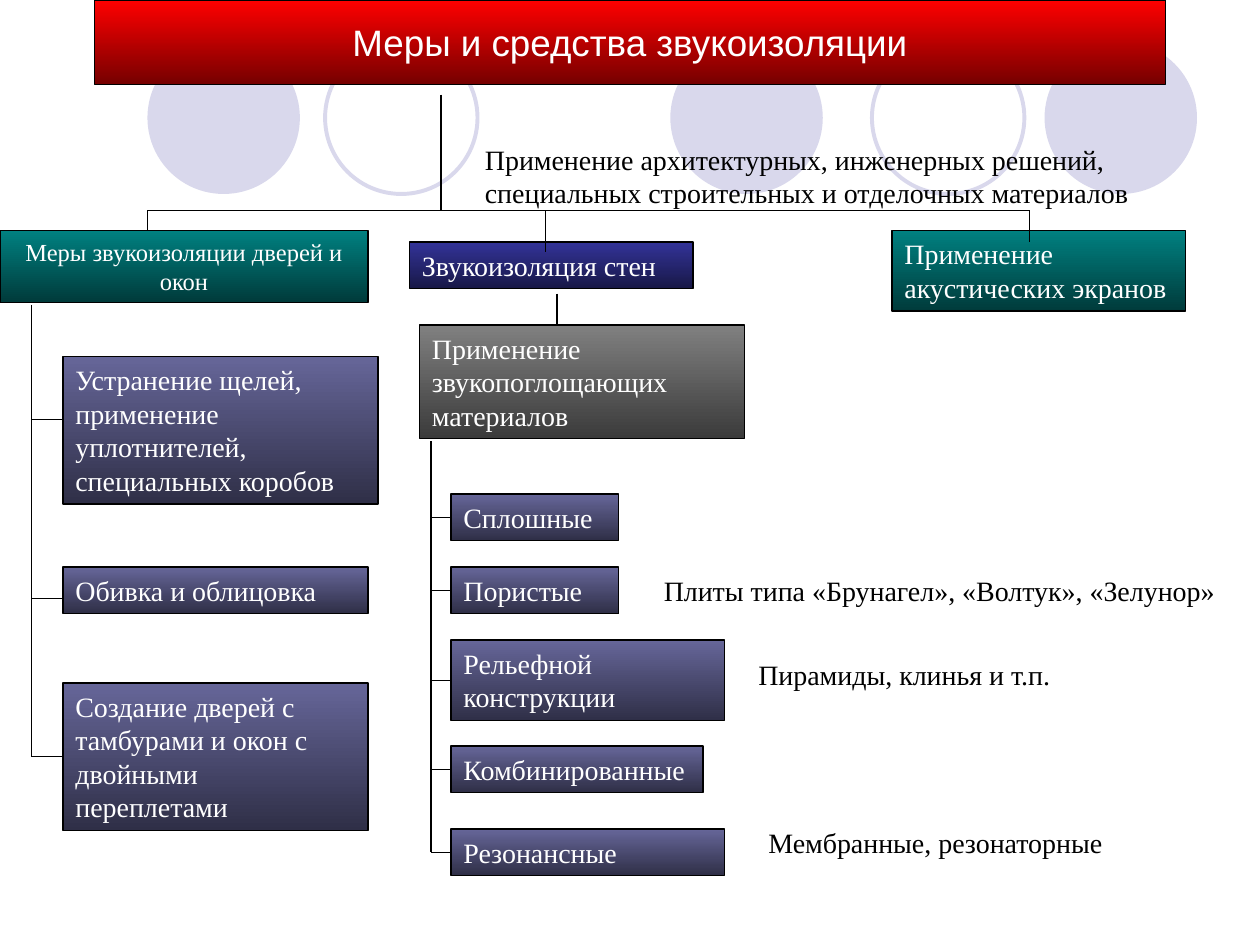
import pptx
import pptx.util
import pptx.dml.color
import pptx.enum.shapes
import pptx.enum.text
import pptx.oxml.ns
from lxml import etree
from pptx.util import Inches, Pt

SERIF = "Times New Roman"
RED = ("FF0000", "760000")
TEAL = ("008080", "003B3B")
NAVY = ("333399", "181847")
GRAY = ("808080", "3B3B3B")
SLATE = ("666699", "2F2F47")
LILAC = "D9D8EC"

TITLE = "Меры и средства звукоизоляции"
DISCS = [(5.32, True), (8.29, True), (1.17, True), (6.92, False), (2.58, False)]

# text, left, top, width, height
HEADS = [
    ("Применение звукопоглощающих материалов", 3.33, 2.58, 2.58, 0.9, GRAY),
    ("Применение акустических экранов", 7.08, 1.83, 2.33, 0.64, TEAL),
    ("Звукоизоляция стен", 3.25, 1.92, 2.25, 0.37, NAVY),
]
DOORS = [
    ("Устранение щелей, применение уплотнителей, специальных коробов",
     0.5, 2.83, 2.5, 1.17),
    ("Обивка и облицовка", 0.5, 4.5, 2.42, 0.37),
    ("Создание дверей с тамбурами и окон с двойными переплетами",
     0.5, 5.42, 2.42, 1.17),
]
WALLS = [
    ("Сплошные", 3.58, 3.92, 1.33, 0.37),
    ("Пористые", 3.58, 4.5, 1.33, 0.37),
    ("Рельефной конструкции", 3.58, 5.08, 2.17, 0.64),
    ("Комбинированные", 3.58, 5.92, 2, 0.37),
    ("Резонансные", 3.58, 6.58, 2.17, 0.37),
]
NOTES = [
    ("Применение архитектурных, инженерных решений, "
     "специальных строительных и отделочных материалов", 3.75, 1.08, 6.25, 0.64),
    ("Плиты типа «Брунагел», «Волтук», «Зелунор»", 5.17, 4.5, 4.83, 0.37),
    ("Пирамиды, клинья и т.п.", 5.92, 5.17, 3.42, 0.37),
    ("Мембранные, резонаторные", 6, 6.5, 4, 0.37),
]
BAR = 1.67
LINKS = [
    (1.17, BAR, 8.17, BAR), (3.5, 0.75, 3.5, BAR), (1.17, BAR, 1.17, 1.92),
    (4.33, BAR, 4.33, 2), (8.17, BAR, 8.17, 1.92), (4.42, 2.33, 4.42, 2.58),
]

deck = pptx.Presentation()
deck.slide_width, deck.slide_height = Inches(10), Inches(7.5)
slide = deck.slides.add_slide(deck.slide_layouts[5])
shapes = slide.shapes


def color(code):
    return pptx.dml.color.RGBColor.from_string(code)


def edge(line, code="000000", width=0.75):
    line.color.rgb = color(code)
    line.width = Pt(width)


def shade(shape, tones):
    """Fill from the first tone at the top to the second at the bottom."""
    shape.fill.gradient()
    shape.fill.gradient_angle = 270
    for stop, pos, tone in zip(shape.fill.gradient_stops, (0, 1), tones):
        stop.position = pos
        stop.color.rgb = color(tone)
    edge(shape.line)


def write(shape, text, size=16, code="FFFFFF", font=SERIF, center=False, middle=False):
    frame = shape.text_frame
    frame.word_wrap = True
    frame.auto_size = pptx.enum.text.MSO_AUTO_SIZE.NONE
    anchor = pptx.enum.text.MSO_ANCHOR
    frame.vertical_anchor = anchor.MIDDLE if middle else anchor.TOP
    frame.margin_left = frame.margin_right = Inches(0.1)
    frame.margin_top = frame.margin_bottom = Inches(0.05)
    para = frame.paragraphs[0]
    align = pptx.enum.text.PP_ALIGN
    para.alignment = align.CENTER if center else align.LEFT
    run = para.add_run()
    run.text = text
    run.font.size = Pt(size)
    run.font.name = font
    run.font.color.rgb = color(code)


def box(text, left, top, width, height, tones=SLATE, **style):
    kind = pptx.enum.shapes.MSO_SHAPE.RECTANGLE
    shape = shapes.add_shape(kind, *map(Inches, (left, top, width, height)))
    shape.shadow.inherit = False
    shade(shape, tones)
    write(shape, text, **style)
    return shape


def link(*ends):
    kind = pptx.enum.shapes.MSO_CONNECTOR.STRAIGHT
    line = shapes.add_connector(kind, *map(Inches, ends))
    edge(line.line)
    etree.SubElement(line._element.spPr, pptx.oxml.ns.qn("a:effectLst"))
    return line


def branch(trunk, start, rows, fixed=()):
    """Draw boxes hung on a trunk; fixed twig heights miss the box middles."""
    for i, row in enumerate(rows):
        item = box(*row)
        text, left, top, width, height = row
        y = fixed[i] if i < len(fixed) else top + height / 2
        twig = link(left, y, trunk, y)
        if i >= len(fixed):
            twig.begin_connect(item, 1)
    link(trunk, start, trunk, y)


for left, solid in DISCS:
    kind = pptx.enum.shapes.MSO_SHAPE.OVAL
    disc = shapes.add_shape(kind, *map(Inches, (left, 0.33, 1.21, 1.21)))
    disc.shadow.inherit = False
    if solid:
        disc.fill.solid()
        disc.fill.fore_color.rgb = color(LILAC)
        disc.line.fill.background()
    else:
        disc.fill.background()
        edge(disc.line, LILAC, 2.25)

title = shapes.title
title.left, title.top, title.width, title.height = map(Inches, (0.75, 0, 8.5, 0.67))
shade(title, RED)
write(title, TITLE, size=21, font="Arial", center=True, middle=True)
shapes._spTree.append(title._element)  # in front of the discs

for text, *place in NOTES:
    write(shapes.add_textbox(*map(Inches, place)), text, code="000000")
for head in HEADS:
    box(*head)
branch(0.25, 2.42, DOORS, fixed=(3.33, 4.75))
branch(3.42, 3.5, WALLS)
for ends in LINKS:
    link(*ends)
box("Меры звукоизоляции дверей и окон", 0, 1.83, 2.92, 0.57, TEAL, size=14, center=True)

deck.save("out.pptx")
